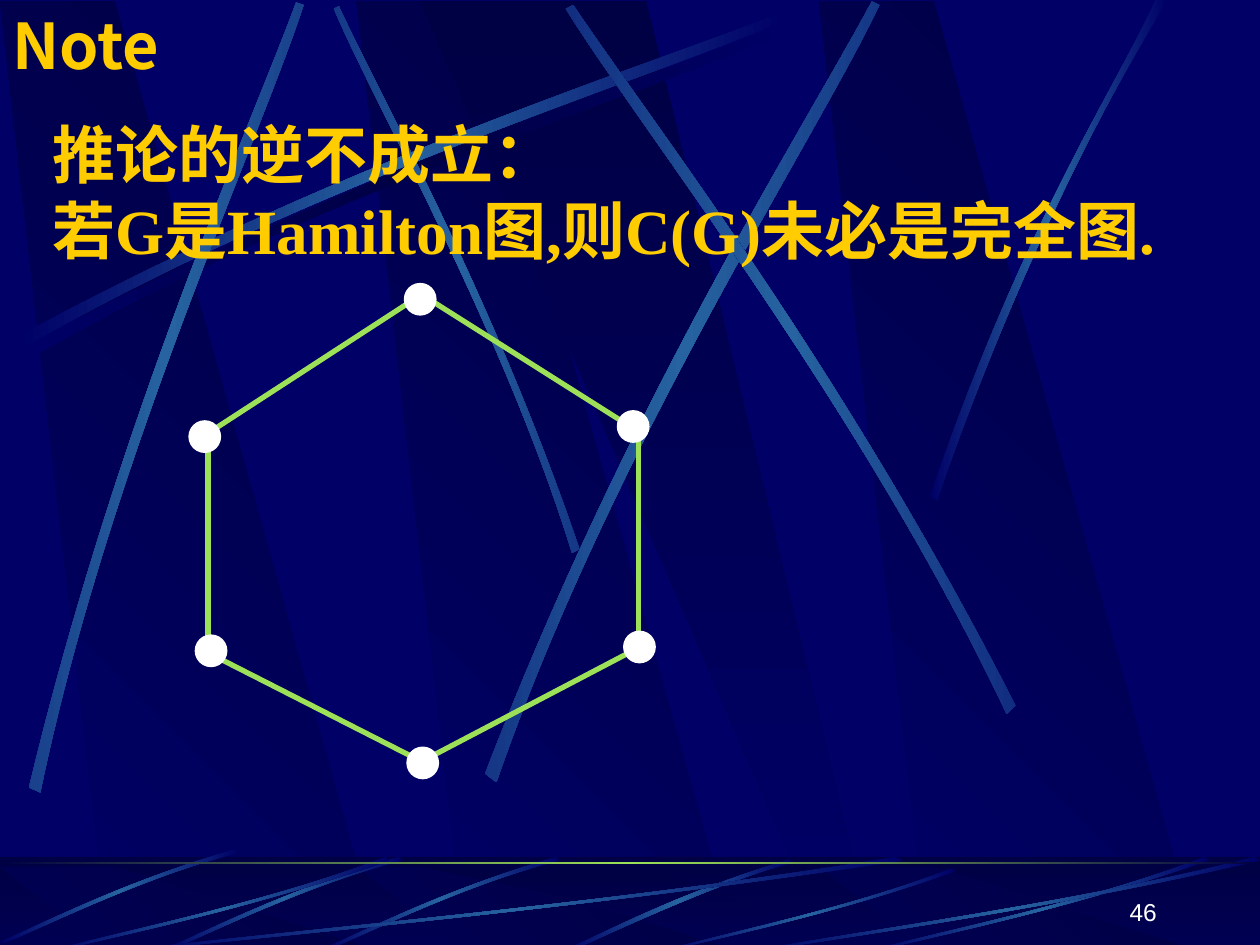
from math import cos, radians, sin

from lxml import etree
from pptx import Presentation
from pptx.dml.color import RGBColor
from pptx.enum.shapes import MSO_CONNECTOR, MSO_SHAPE
from pptx.enum.text import MSO_ANCHOR, MSO_AUTO_SIZE, PP_ALIGN
from pptx.oxml.ns import qn
from pptx.util import Inches, Pt

STRAIGHT = MSO_CONNECTOR.STRAIGHT
OVAL, RECTANGLE = MSO_SHAPE.OVAL, MSO_SHAPE.RECTANGLE
MIDDLE, BOTTOM = MSO_ANCHOR.MIDDLE, MSO_ANCHOR.BOTTOM
LEFT, RIGHT = PP_ALIGN.LEFT, PP_ALIGN.RIGHT
GROW, FIXED = MSO_AUTO_SIZE.SHAPE_TO_FIT_TEXT, MSO_AUTO_SIZE.NONE

NAVY = RGBColor(0x00, 0x00, 0x66)
DARK = RGBColor(0x00, 0x00, 0x44)
STEEL = RGBColor(0x26, 0x63, 0xA0)
GREEN = RGBColor(0x9C, 0xE1, 0x57)
GOLD = RGBColor(0xFF, 0xCC, 0x00)
WHITE = RGBColor(0xFF, 0xFF, 0xFF)

WIDTH, HEIGHT = 10, 7.5
FOOTER_TOP, FOOTER_HEIGHT = 6.8, 0.75
NODE_SIZE = 0.25

TITLE = ["推论的逆不成立：", "若G是Hamilton图,则C(G)未必是完全图."]
HEADING = ["Note"]
PAGE_NUMBER = ["46"]

BAND_LEFTS = [2.83, 0, 6.5]
BAND = [(0.86, 1), (3.02, 1), (0.91, 0), (0, 0)]
WEDGE = [(3.33, 0), (6.58, 1), (6.94, 1), (5.13, 0)]
BAND_SPANS = [(0.01, 7.52), (6.88, 7.55)]

LONG_ARC = [(0.14, 2.67), (2.78, 1.25), (5.18, 0.51), (6.2, 0.1),
            (6.23, 0.16), (5.22, 0.61), (2.48, 1.43), (0.17, 2.77)]
STREAKS = [
    (45, [(4.6, 4.36), (3.91, 2.34), (3.02, 0.77), (2.69, 0.05),
          (2.65, 0.07), (2.95, 0.79), (3.98, 2.58), (4.54, 4.39)]),
    (0, LONG_ARC),
    (311.7, [(0.23, 6.25), (0.93, 3.34), (1.97, 1.05), (2.35, 0.02),
             (2.41, 0.04), (2.07, 1.09), (0.86, 3.68), (0.32, 6.29)]),
    (321.6, [(3.85, 6.14), (4.98, 3.2), (6.38, 1.02), (6.92, 0.01),
             (6.98, 0.04), (6.49, 1.08), (4.86, 3.55), (3.94, 6.21)]),
    (34.7, [(8.06, 5.6), (6.7, 2.93), (5.16, 0.95), (4.55, 0.04),
            (4.49, 0.07), (5.07, 1.01), (6.85, 3.25), (7.99, 5.67)]),
    (0, [(7.38, 3.94), (8.14, 1.73), (8.88, 0.66), (9.17, 0),
         (9.27, 0), (8.36, 1.45), (7.69, 3.22), (7.44, 3.97)]),
]
PLAIN_ARC = [(6.27, 6.82), (5.37, 7.09), (4.77, 7.42), (4.48, 7.54),
             (4.53, 7.55), (4.9, 7.38), (5.71, 7), (6.28, 6.85)]
SHORT_ARC = [(1.86, 0), (0.99, 0.25), (0.31, 0.6), (0, 0.73),
             (0.01, 0.75), (0.32, 0.63), (1.09, 0.23), (1.88, 0.03)]
SHORT_ARCS = [(2.56, 6.8), (1.31, 6.8), (0.01, 6.74)]
SWEEP = [(1, 0.04), (0.57, 0.57), (0.17, 0.85), (0.01, 1),
         (0, 0.99), (0.17, 0.81), (0.62, 0.51), (0.99, 0)]
SWEEPS = [(1, 6.8, 6.17), (0.42, 6.8, 2.67), (5.27, 6.89, 2.31),
          (6.92, 6.8, 2.67), (6, 6.8, 4)]

EDGES = [((1.65, 3.43), (1.65, 5.18)), ((3.28, 2.38), (1.68, 3.42)),
         ((5.05, 5.15), (3.41, 6.01)), ((3.35, 2.34), (5.01, 3.39)),
         ((1.65, 5.18), (3.28, 6.01)), ((5.07, 3.34), (5.07, 5.09))]
NODES = [(3.23, 5.93), (4.95, 5.01), (4.9, 3.26), (3.21, 2.25), (1.5, 3.34), (1.55, 5.04)]


def fill_gradient(shape, colors, angle):
    shape.fill.gradient()
    gradient = shape.fill._xPr.find(qn("a:gradFill"))
    gradient.set("rotWithShape", "0")
    stops = gradient.find(qn("a:gsLst"))
    for stop in list(stops):
        stops.remove(stop)
    for index, color in enumerate(colors):
        position = str(index * 100000 // (len(colors) - 1))
        stop = etree.SubElement(stops, qn("a:gs"), pos=position)
        etree.SubElement(stop, qn("a:srgbClr"), val=str(color))
    direction = gradient.find(qn("a:lin"))
    direction.set("ang", str(angle * 60000))
    direction.set("scaled", "0")


def finish(shape, colors, angle):
    fill_gradient(shape, colors, angle)
    shape.line.fill.background()
    shape.shadow.inherit = False


def add_outline(page, points, colors, angle=0, rotation=0):
    xs, ys = zip(*points)
    middle_x, middle_y = (min(xs) + max(xs)) / 2, (min(ys) + max(ys)) / 2
    turn = radians(-rotation)
    turned = []
    for x, y in points:
        dx, dy = x - middle_x, y - middle_y
        turned.append((Inches(middle_x + dx * cos(turn) - dy * sin(turn)),
                       Inches(middle_y + dx * sin(turn) + dy * cos(turn))))
    xs, ys = zip(*turned)
    shift_x = Inches(middle_x) - (min(xs) + max(xs)) // 2
    shift_y = Inches(middle_y) - (min(ys) + max(ys)) // 2
    builder = page.shapes.build_freeform(*turned[0])
    builder.add_line_segments(turned[1:], close=True)
    shape = builder.convert_to_shape()
    if rotation:
        spin = radians(rotation)
        shape.left += round(shift_x - shift_x * cos(spin) + shift_y * sin(spin))
        shape.top += round(shift_y - shift_x * sin(spin) - shift_y * cos(spin))
        shape.rotation = rotation
    finish(shape, colors, angle)
    return shape


def bend(shape):
    lines = list(shape._element.iter(qn("a:lnTo")))
    for side in (lines[:3], lines[4:7]):
        arc = etree.Element(qn("a:cubicBezTo"))
        side[0].addprevious(arc)
        for line in side:
            arc.append(line[0])
            line.getparent().remove(line)


def add_streak(page, outline, rotation=0, left=0, top=0, width=1, height=1, glow=STEEL):
    points = [(left + x * width, top + y * height) for x, y in outline]
    bend(add_outline(page, points, [NAVY, glow, NAVY], rotation=rotation))


def add_bands(page, top, bottom):
    def place(points, left=0):
        return [(left + x, top + y * (bottom - top)) for x, y in points]
    for left in BAND_LEFTS:
        add_outline(page, place(BAND, left), [NAVY, DARK], 315)
    add_outline(page, place(WEDGE), [DARK, NAVY], 90)


def add_strip(page, top, height):
    return page.shapes.add_shape(RECTANGLE, 0, Inches(top), Inches(WIDTH), Inches(height))


def add_text(page, lines, area, size=36, font="Times New Roman", asian="Arial", color=GOLD,
             bold=True, anchor=MIDDLE, align=LEFT, fit=GROW):
    box = page.shapes.add_textbox(*map(Inches, area))
    frame = box.text_frame
    frame.word_wrap = True
    frame.auto_size = fit
    frame.vertical_anchor = anchor
    para = frame.paragraphs[0]
    para.alignment = align
    for index, line in enumerate(lines):
        if index:
            para.add_line_break()
        span = para.add_run()
        span.text = line
        span.font.size = Pt(size)
        span.font.name = font
        span.font.bold = bold
        span.font.color.rgb = color
        etree.SubElement(span.font._element, qn("a:ea"), typeface=asian)


def add_backdrop(page):
    page.background.fill.solid()
    page.background.fill.fore_color.rgb = NAVY
    add_bands(page, *BAND_SPANS[0])
    add_streak(page, LONG_ARC, left=0.06, top=0.08, glow=DARK)
    for rotation, outline in STREAKS:
        add_streak(page, outline, rotation)
    finish(add_strip(page, FOOTER_TOP, FOOTER_HEIGHT), [DARK, NAVY], 90)
    add_bands(page, *BAND_SPANS[1])
    veil = add_strip(page, FOOTER_TOP, FOOTER_HEIGHT)
    veil.fill.solid()
    veil.fill.fore_color.rgb = DARK
    tint = veil.fill._xPr.find(qn("a:solidFill"))[0]
    etree.SubElement(tint, qn("a:alpha"), val="50000")
    veil.line.fill.background()
    veil.shadow.inherit = False
    add_streak(page, PLAIN_ARC)
    for left, top in SHORT_ARCS:
        add_streak(page, SHORT_ARC, 315, left, top)
    for left, top, width in SWEEPS:
        add_streak(page, SWEEP, 0, left, top, width, FOOTER_TOP + FOOTER_HEIGHT - top)
    finish(add_strip(page, 6.84, 0.02), [DARK, GREEN, DARK], 0)


def add_hexagon(page):
    for start, end in EDGES:
        edge = page.shapes.add_connector(STRAIGHT, *map(Inches, start + end))
        edge.line.color.rgb = GREEN
        edge.line.width = Pt(3)
        etree.SubElement(edge._element.spPr, qn("a:effectLst"))
    for left, top in NODES:
        node = page.shapes.add_shape(OVAL, *map(Inches, (left, top, NODE_SIZE, NODE_SIZE)))
        node.fill.solid()
        node.fill.fore_color.rgb = WHITE
        node.line.color.rgb = WHITE
        node.line.width = Pt(0.75)
        node.shadow.inherit = False


def main():
    deck = Presentation()
    deck.slide_width, deck.slide_height = Inches(WIDTH), Inches(HEIGHT)
    page = deck.slides.add_slide(deck.slide_layouts[6])
    add_backdrop(page)
    add_hexagon(page)
    add_text(page, TITLE, (0.32, 0.87, 9.25, 1.3))
    add_text(page, PAGE_NUMBER, (7.2, 6.9, 2.08, 0.5), size=14, font="Arial", color=WHITE,
             bold=False, anchor=BOTTOM, align=RIGHT, fit=FIXED)
    add_text(page, HEADING, (0, 0, 8.5, 0.71), font="Noto Sans CJK SC")
    deck.save("out.pptx")


if __name__ == "__main__":
    main()
